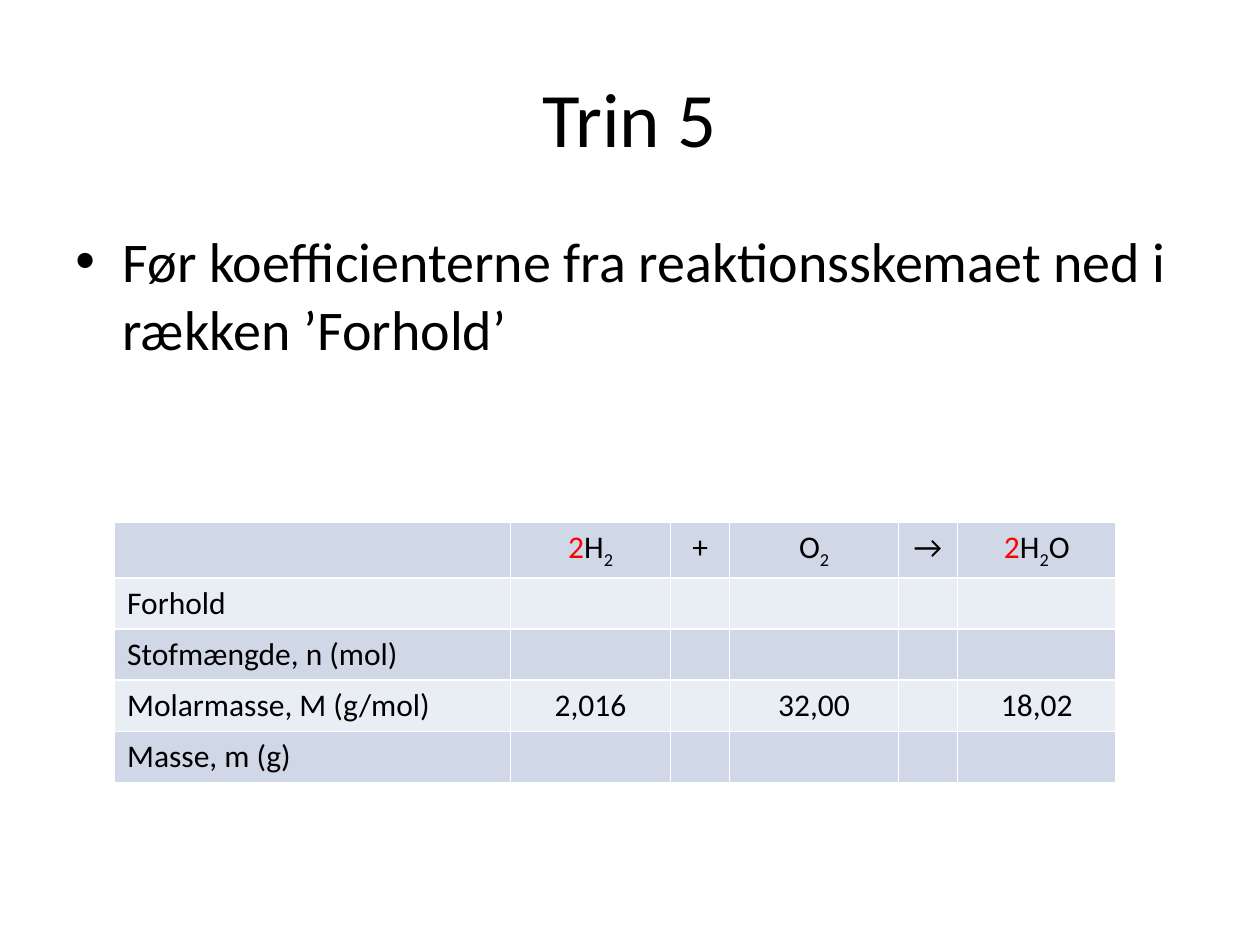
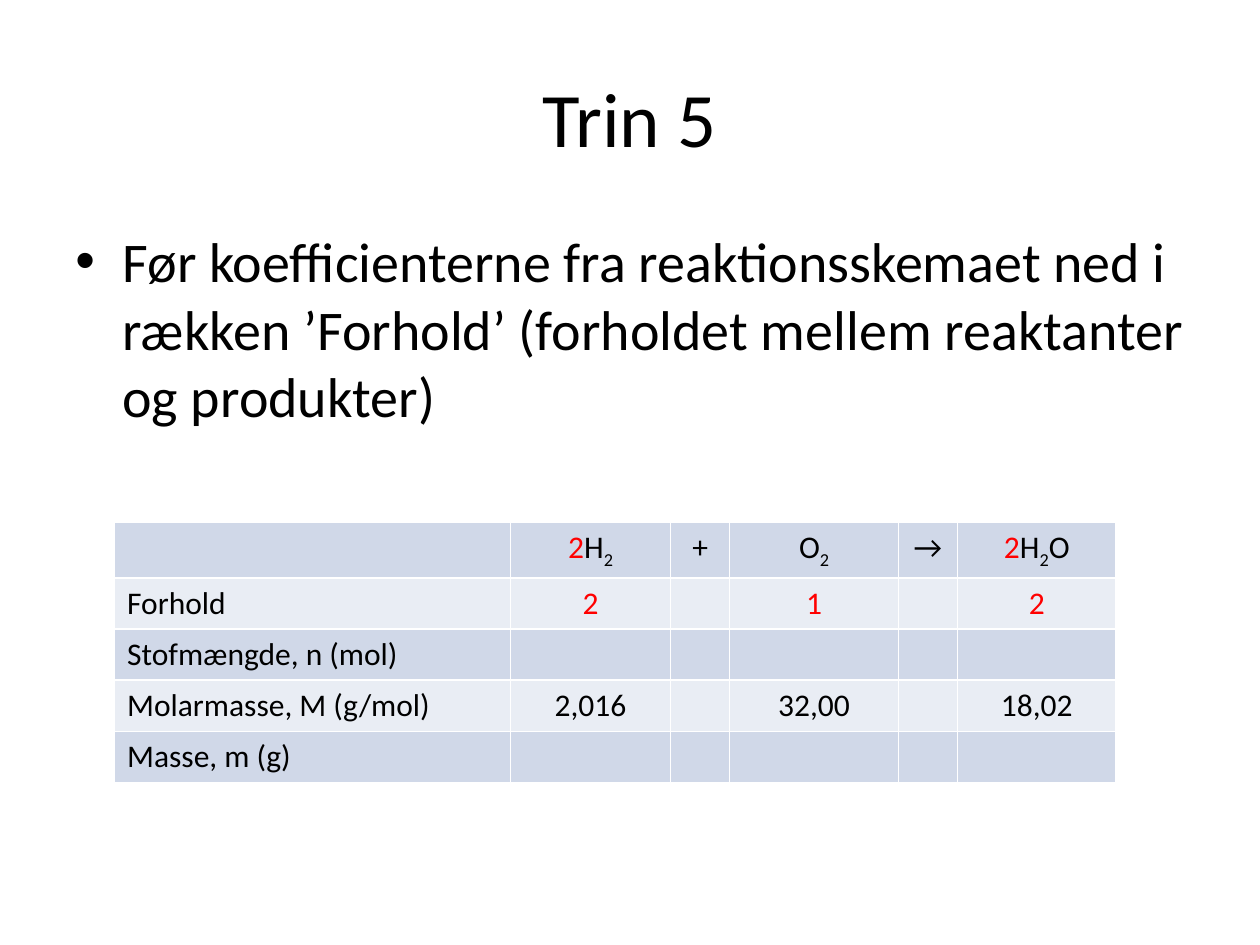
from lxml import etree
from pptx import Presentation
from pptx.dml.color import RGBColor
from pptx.enum.text import MSO_ANCHOR, PP_ALIGN
from pptx.oxml.ns import qn
from pptx.util import Cm, Pt

LEFT, CENTER = PP_ALIGN.LEFT, PP_ALIGN.CENTER
TOP, MIDDLE = MSO_ANCHOR.TOP, MSO_ANCHOR.MIDDLE

COLORS = {
    "text": "000000",
    "coefficient": "FF0000",
    "dark_band": "D0D8E8",
    "light_band": "E9EDF4",
    "border": "FFFFFF",
}
FONTS = {
    "title": {"name": "Calibri", "size": Pt(44)},
    "body": {"name": "Calibri", "size": Pt(32)},
    "table": {"name": "Calibri", "size": Pt(18)},
}

TEXT_LEFT, TEXT_WIDTH = 1.27, 22.86
BULLET_INDENT = 0.95
TABLE_LEFT, TABLE_TOP = 2.31, 10.53
COLUMN_WIDTHS = [7.98, 3.23, 1.19, 3.4, 1.19, 3.2]
ROW_HEIGHTS = [1.1] + [1.03] * 4

COEFFICIENT, SUBSCRIPT = "coefficient", "subscript"
HYDROGEN = [("2", COEFFICIENT), ("H", None), ("2", SUBSCRIPT)]
OXYGEN = [("O", None), ("2", SUBSCRIPT)]
WATER = HYDROGEN + [("O", None)]

INSTRUCTION = "Før koefficienterne fra reaktionsskemaet ned i rækken ’Forhold’"
STEPS = [
    (INSTRUCTION, ["", "", ""]),
    (INSTRUCTION + " (forholdet mellem reaktanter og produkter)", ["2", "1", "2"]),
]


def apply_format(target, values):
    for name, value in values.items():
        setattr(target, name, value)


def add_run(paragraph, text, font, role=None):
    run = paragraph.add_run()
    run.text = text
    apply_format(run.font, FONTS[font])
    color = COLORS["coefficient" if role == COEFFICIENT else "text"]
    run.font.color.rgb = RGBColor.from_string(color)
    if role == SUBSCRIPT:
        run._r.get_or_add_rPr().set("baseline", "-25000")


def add_text(slide, top, height, text, font, alignment, anchor):
    box = slide.shapes.add_textbox(Cm(TEXT_LEFT), Cm(top), Cm(TEXT_WIDTH), Cm(height))
    apply_format(box.text_frame, {"word_wrap": True, "vertical_anchor": anchor})
    paragraph = box.text_frame.paragraphs[0]
    paragraph.alignment = alignment
    add_run(paragraph, text, font)
    return paragraph


def add_bullet(paragraph):
    properties = paragraph._p.get_or_add_pPr()
    properties.set("marL", str(Cm(BULLET_INDENT)))
    properties.set("indent", str(-Cm(BULLET_INDENT)))
    etree.SubElement(properties, qn("a:buFont")).set("typeface", "Arial")
    etree.SubElement(properties, qn("a:buChar")).set("char", "•")


def add_borders(cell):
    properties = cell._tc.get_or_add_tcPr()
    for side in ("lnL", "lnR", "lnT", "lnB"):
        line = etree.SubElement(properties, qn("a:" + side), w=str(Pt(1)))
        fill = etree.SubElement(line, qn("a:solidFill"))
        etree.SubElement(fill, qn("a:srgbClr"), val=COLORS["border"])


def fill_cell(cell, runs, band, alignment):
    add_borders(cell)
    cell.fill.solid()
    cell.fill.fore_color.rgb = RGBColor.from_string(COLORS[band])
    paragraph = cell.text_frame.paragraphs[0]
    paragraph.alignment = alignment
    apply_format(paragraph.font, FONTS["table"])
    for text, role in runs:
        add_run(paragraph, text, "table", role)


def table_row(label, values=("", "", ""), role=None):
    first, second, third = [[(value, role)] if value else [] for value in values]
    return [[(label, None)], first, [], second, [], third]


def add_reaction_table(slide, ratios):
    rows = [
        [[], HYDROGEN, [("+", None)], OXYGEN, [("→", None)], WATER],
        table_row("Forhold", ratios, COEFFICIENT),
        table_row("Stofmængde, n (mol)"),
        table_row("Molarmasse, M (g/mol)", ("2,016", "32,00", "18,02")),
        table_row("Masse, m (g)"),
    ]
    table = slide.shapes.add_table(
        len(rows), len(COLUMN_WIDTHS), Cm(TABLE_LEFT), Cm(TABLE_TOP),
        Cm(sum(COLUMN_WIDTHS)), Cm(sum(ROW_HEIGHTS)),
    ).table
    apply_format(table, {"first_row": False, "horz_banding": False})
    for column, width in zip(table.columns, COLUMN_WIDTHS):
        column.width = Cm(width)
    for row, height in zip(table.rows, ROW_HEIGHTS):
        row.height = Cm(height)
    for row_index, row in enumerate(rows):
        band = "light_band" if row_index % 2 else "dark_band"
        for column_index, runs in enumerate(row):
            alignment = CENTER if column_index else LEFT
            fill_cell(table.cell(row_index, column_index), runs, band, alignment)


def add_step_slide(presentation, instruction, ratios):
    slide = presentation.slides.add_slide(presentation.slide_layouts[6])
    add_text(slide, 0.76, 3.18, "Trin 5", "title", CENTER, MIDDLE)
    add_bullet(add_text(slide, 4.45, 12.57, instruction, "body", LEFT, TOP))
    add_reaction_table(slide, ratios)


def main():
    presentation = Presentation()
    apply_format(presentation, {"slide_width": Cm(25.4), "slide_height": Cm(19.05)})
    for instruction, ratios in STEPS:
        add_step_slide(presentation, instruction, ratios)
    presentation.save("out.pptx")


if __name__ == "__main__":
    main()
